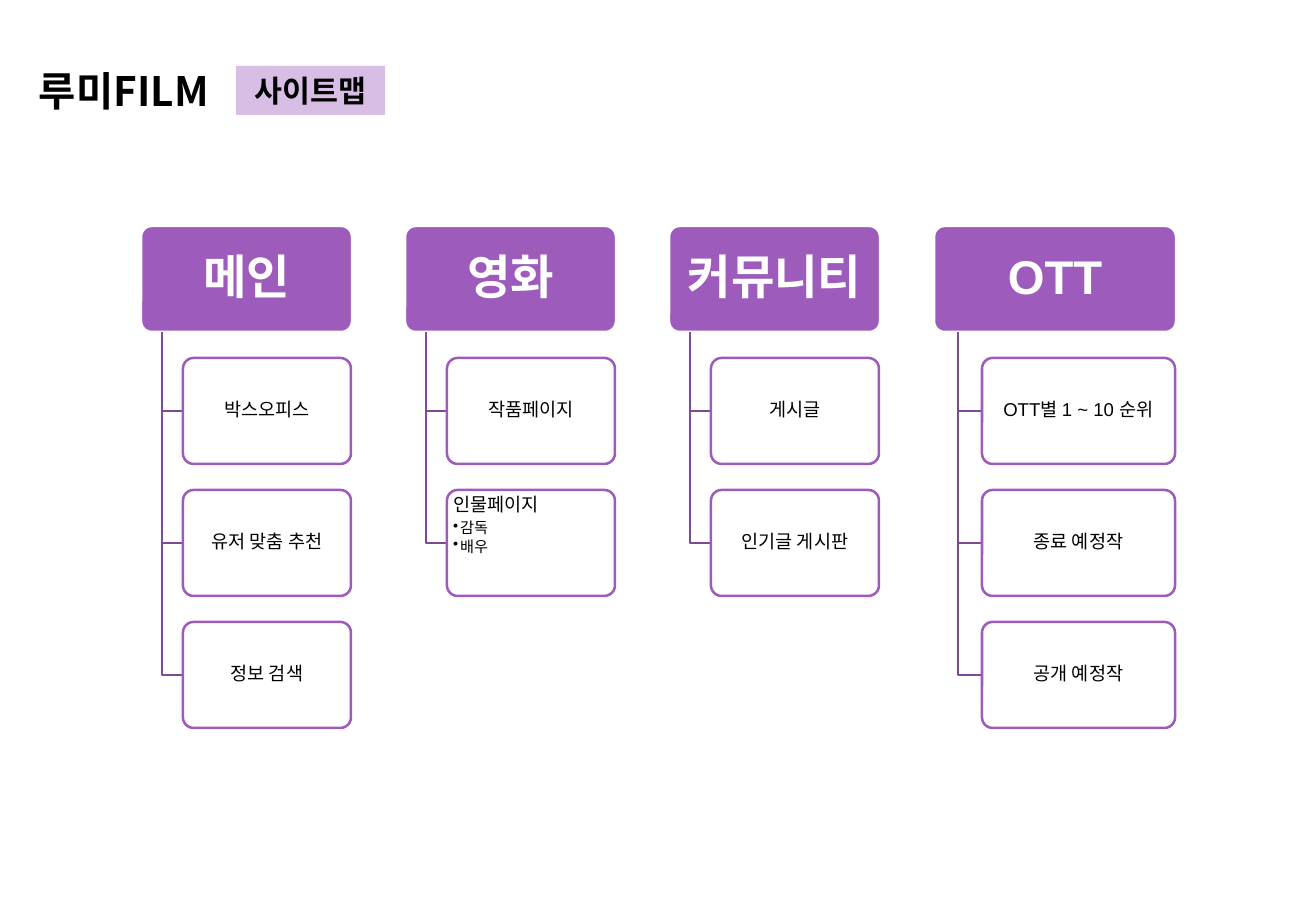
import pptx
import pptx.util
import pptx.dml.color
import pptx.enum.shapes
import pptx.enum.text
import pptx.oxml
import pptx.oxml.ns

TITLE = "루미FILM"
LABEL = "사이트맵"
MENUS = [
    ("메인", 211, [["박스오피스"], ["유저 맞춤 추천"], ["정보 검색"]]),
    ("영화", 211, [["작품페이지"], ["인물페이지", "감독", "배우"]]),
    ("커뮤니티", 211, [["게시글"], ["인기글 게시판"]]),
    ("OTT", 242, [["OTT별 1 ~ 10 순위"], ["종료 예정작"], ["공개 예정작"]]),
]
PURPLE, DARK_PURPLE, LILAC = "9D5CBB", "7E4A96", "D8BEE4"
BLACK, WHITE = "000000", "FFFFFF"
KOREAN_FONT = "Noto Sans CJK KR"

FIRST_LEFT, LAST_LEFT, MENU_TOP, BOX_HEIGHT = 141, 934, 226, 106
PAGE_TOP, PAGE_PITCH = 358, 132
BULLET_INDENT = 7

SHAPES = pptx.enum.shapes.MSO_SHAPE
ANCHOR = pptx.enum.text.MSO_ANCHOR
ALIGN = pptx.enum.text.PP_ALIGN


def px(length):
    return pptx.util.Emu(round(length * 914400 / 121.5))


def color(value):
    return pptx.dml.color.RGBColor.from_string(value)


def apply(target, values):
    for name, value in values.items():
        setattr(target, name, value)


def place(shape, left, top, width, height):
    box = {"left": left, "top": top, "width": width, "height": height}
    apply(shape, {name: px(value) for name, value in box.items()})


def set_line(shape, line_color):
    shape.line.color.rgb = color(line_color)
    shape.line.width = pptx.util.Pt(1.5)


def set_frame(shape, margins, anchor):
    sides = ("margin_left", "margin_top", "margin_right", "margin_bottom")
    apply(shape.text_frame, {side: px(size) for side, size in zip(sides, margins)})
    apply(shape.text_frame, {
        "word_wrap": True,
        "vertical_anchor": anchor,
        "auto_size": pptx.enum.text.MSO_AUTO_SIZE.NONE,
    })


def write(paragraph, text, size, text_color, align, font="Arial", bold=False, spacing=0.9):
    apply(paragraph, {"alignment": align, "line_spacing": spacing})
    run = paragraph.add_run()
    run.text = text
    apply(run.font, {"size": pptx.util.Pt(size), "bold": bold, "name": font})
    run.font.color.rgb = color(text_color)
    east_asian = pptx.oxml.parse_xml(
        f'<a:ea {pptx.oxml.ns.nsdecls("a")} typeface="{KOREAN_FONT}"/>')
    run.font._element.find(pptx.oxml.ns.qn("a:latin")).addnext(east_asian)


def add_bullet(paragraph):
    apply(paragraph, {"level": 1, "space_after": pptx.util.Pt(1.5)})
    properties = paragraph._p.get_or_add_pPr()
    properties.set("marL", str(px(BULLET_INDENT)))
    properties.set("indent", str(px(-BULLET_INDENT)))
    properties.append(pptx.oxml.parse_xml(
        f'<a:buChar {pptx.oxml.ns.nsdecls("a")} char="•"/>'))


def add_box(slide, kind, box, fill, line=None):
    shape = slide.shapes.add_shape(kind, *map(px, box))
    shape.shadow.inherit = False
    shape.fill.solid()
    shape.fill.fore_color.rgb = color(fill)
    if kind == SHAPES.ROUNDED_RECTANGLE:
        shape.adjustments[0] = 0.1
    if line:
        set_line(shape, line)
    else:
        shape.line.fill.background()
    return shape


def add_branch(slide, trunk, top, bottom, right):
    builder = slide.shapes.build_freeform(px(trunk), px(top))
    builder.add_line_segments(
        [(px(trunk), px(bottom)), (px(right), px(bottom))], close=False)
    branch = builder.convert_to_shape()
    branch.shadow.inherit = False
    branch.fill.background()
    set_line(branch, DARK_PURPLE)


def add_page(slide, box, lines):
    page = add_box(slide, SHAPES.ROUNDED_RECTANGLE, box, WHITE, PURPLE)
    name, *details = lines
    anchor, align = (ANCHOR.TOP, ALIGN.LEFT) if details else (ANCHOR.MIDDLE, ALIGN.CENTER)
    set_frame(page, (3, 2, 3, 2), anchor)
    heading = page.text_frame.paragraphs[0]
    write(heading, name, 11, BLACK, align)
    if details:
        heading.space_after = pptx.util.Pt(3)
    for detail in details:
        paragraph = page.text_frame.add_paragraph()
        write(paragraph, detail, 9, BLACK, align)
        add_bullet(paragraph)


def add_menu(slide, left, name, width, pages):
    menu = add_box(slide, SHAPES.ROUNDED_RECTANGLE,
                   (left, MENU_TOP, width, BOX_HEIGHT), PURPLE, WHITE)
    set_frame(menu, (7, 5, 7, 5), ANCHOR.MIDDLE)
    write(menu.text_frame.paragraphs[0], name, 28, WHITE, ALIGN.CENTER, bold=True)
    trunk, page_left = left + width // 10, left + width // 5
    for row, lines in enumerate(pages):
        top = PAGE_TOP + row * PAGE_PITCH
        add_branch(slide, trunk, MENU_TOP + BOX_HEIGHT, top + BOX_HEIGHT // 2, page_left)
        add_page(slide, (page_left, top, width * 4 // 5, BOX_HEIGHT), lines)


def add_heading(slide):
    title = slide.shapes.title
    place(title, 27, 60, 209, 61)
    set_frame(title, (12, 6, 0, 6), ANCHOR.TOP)
    label = add_box(slide, SHAPES.RECTANGLE, (236, 66, 149, 49), LILAC)
    set_frame(label, (12, 6, 12, 6), ANCHOR.MIDDLE)
    for shape, text, size, align in ((title, TITLE, 24, ALIGN.LEFT),
                                     (label, LABEL, 18, ALIGN.CENTER)):
        write(shape.text_frame.paragraphs[0], text, size, BLACK, align,
              font=KOREAN_FONT, bold=True, spacing=1.0)


def main():
    presentation = pptx.Presentation()
    apply(presentation, {"slide_width": px(1316), "slide_height": px(911)})
    slide = presentation.slides.add_slide(presentation.slide_layouts.get_by_name("Title Only"))
    add_heading(slide)
    for column, (name, width, pages) in enumerate(MENUS):
        left = FIRST_LEFT + (LAST_LEFT - FIRST_LEFT) * column // (len(MENUS) - 1)
        add_menu(slide, left, name, width, pages)
    presentation.save("out.pptx")


if __name__ == "__main__":
    main()
